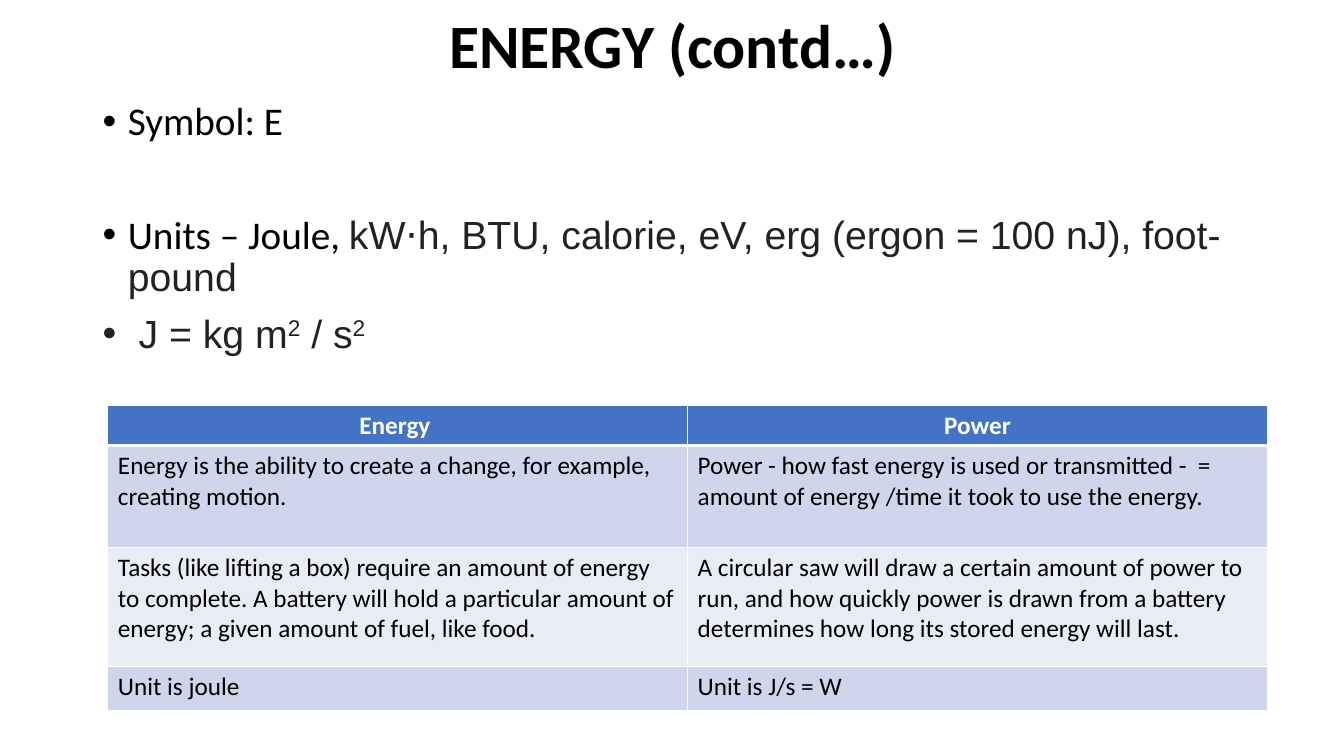
from dataclasses import dataclass

from lxml.etree import SubElement
from pptx import Presentation
from pptx.dml.color import RGBColor
from pptx.enum.text import MSO_ANCHOR, PP_ALIGN
from pptx.oxml.ns import qn
from pptx.util import Inches, Pt


@dataclass(frozen=True)
class Theme:
    heading_font: str = "Calibri"
    units_font: str = "Arial"
    black: str = "000000"
    grey: str = "222222"
    white: str = "FFFFFF"
    header_fill: str = "4472C4"
    bands: tuple = ("CFD5EA", "E9EBF5")
    title_size: int = 44
    body_size: int = 28
    table_size: int = 18


THEME = Theme()
CALIBRI = {"name": THEME.heading_font, "size": Pt(THEME.body_size), "color": THEME.black}
ARIAL = {"name": THEME.units_font, "size": Pt(THEME.body_size), "color": THEME.grey}
SUPERSCRIPT = {**ARIAL, "baseline": 30000}

# Each bullet: space before in points, then its runs
BULLETS = [
    (10, [("Symbol: E", CALIBRI)]),
    (51, [("Units – Joule, ", CALIBRI),
          ("kW⋅h, BTU, calorie, eV, erg (ergon = 100 nJ), foot-pound", ARIAL)]),
    (10, [(" ", {**ARIAL, "bold": True}), ("J = kg m", ARIAL), ("2", SUPERSCRIPT),
          (" / s", ARIAL), ("2", SUPERSCRIPT)]),
]

ROW_HEIGHTS = [0.4, 1.01, 1.18, 0.44]
COMPARISON = [
    ("Energy ", "Power"),
    ("Energy is the ability to create a change, for example, creating motion.",
     "Power - how fast energy is used or transmitted -  = amount of energy /time "
     "it took to use the energy."),
    ("Tasks (like lifting a box) require an amount of energy to complete. "
     "A battery will hold a particular amount of energy; a given amount of fuel, like food.",
     "A circular saw will draw a certain amount of power to run, and how quickly power "
     "is drawn from a battery determines how long its stored energy will last."),
    ("Unit is joule", "Unit is J/s = W"),
]


def add_run(paragraph, text, style):
    run = paragraph.add_run()
    run.text = text
    for key, value in style.items():
        if key == "color":
            run.font.color.rgb = RGBColor.from_string(value)
        elif key == "baseline":
            run._r.get_or_add_rPr().set("baseline", str(value))
        else:
            setattr(run.font, key, value)


def add_text_frame(slide, box, anchor):
    frame = slide.shapes.add_textbox(*map(Inches, box)).text_frame
    frame.word_wrap = True
    frame.vertical_anchor = anchor
    return frame


def set_bullet(paragraph):
    properties = paragraph._p.get_or_add_pPr()
    properties.set("marL", str(Inches(0.25)))
    properties.set("indent", str(Inches(-0.25)))
    SubElement(properties, qn("a:buFont"), typeface="Arial")
    SubElement(properties, qn("a:buChar"), char="•")


def set_borders(cell, widths):
    properties = cell._tc.get_or_add_tcPr()
    for side, width in widths.items():
        line = SubElement(properties, qn(f"a:ln{side}"), w=str(Pt(width)))
        fill = SubElement(line, qn("a:solidFill"))
        SubElement(fill, qn("a:srgbClr"), val=THEME.white)


def add_title(slide, box):
    paragraph = add_text_frame(slide, box, MSO_ANCHOR.MIDDLE).paragraphs[0]
    paragraph.alignment = PP_ALIGN.CENTER
    paragraph.line_spacing = 0.9
    add_run(paragraph, "ENERGY (contd…)",
            {**CALIBRI, "size": Pt(THEME.title_size), "bold": True})


def add_bullets(slide, box):
    frame = add_text_frame(slide, box, MSO_ANCHOR.TOP)
    for index, (space_before, runs) in enumerate(BULLETS):
        paragraph = frame.add_paragraph() if index else frame.paragraphs[0]
        paragraph.line_spacing = 0.9
        paragraph.space_before = Pt(space_before)
        set_bullet(paragraph)
        for text, style in runs:
            add_run(paragraph, text, style)


def add_comparison(slide, box):
    rows, columns = len(COMPARISON), len(COMPARISON[0])
    table = slide.shapes.add_table(rows, columns, *map(Inches, box)).table
    for column in table.columns:
        column.width = Inches(box[2] / columns)
    for row, (height, texts) in enumerate(zip(ROW_HEIGHTS, COMPARISON)):
        table.rows[row].height = Inches(height)
        header = row == 0
        fill = THEME.header_fill if header else THEME.bands[(row - 1) % 2]
        style = {**CALIBRI, "size": Pt(THEME.table_size), "bold": header,
                 "color": THEME.white if header else THEME.black}
        for column, text in enumerate(texts):
            cell = table.cell(row, column)
            set_borders(cell, {"L": 1, "R": 1, "T": 3 if row == 1 else 1,
                               "B": 3 if header else 1})
            cell.fill.solid()
            cell.fill.fore_color.rgb = RGBColor.from_string(fill)
            paragraph = cell.text_frame.paragraphs[0]
            paragraph.alignment = PP_ALIGN.CENTER if header else PP_ALIGN.LEFT
            add_run(paragraph, text, style)


def main():
    presentation = Presentation()
    presentation.slide_width = Inches(13.33)
    presentation.slide_height = Inches(7.5)
    slide = presentation.slides.add_slide(presentation.slide_layouts[6])
    # Regions from top to bottom
    add_title(slide, (0.92, 0, 11.5, 0.96))
    add_bullets(slide, (0.92, 0.96, 11.5, 2.79))
    add_comparison(slide, (1.07, 4.02, 11.5, sum(ROW_HEIGHTS)))
    presentation.save("out.pptx")


if __name__ == "__main__":
    main()
